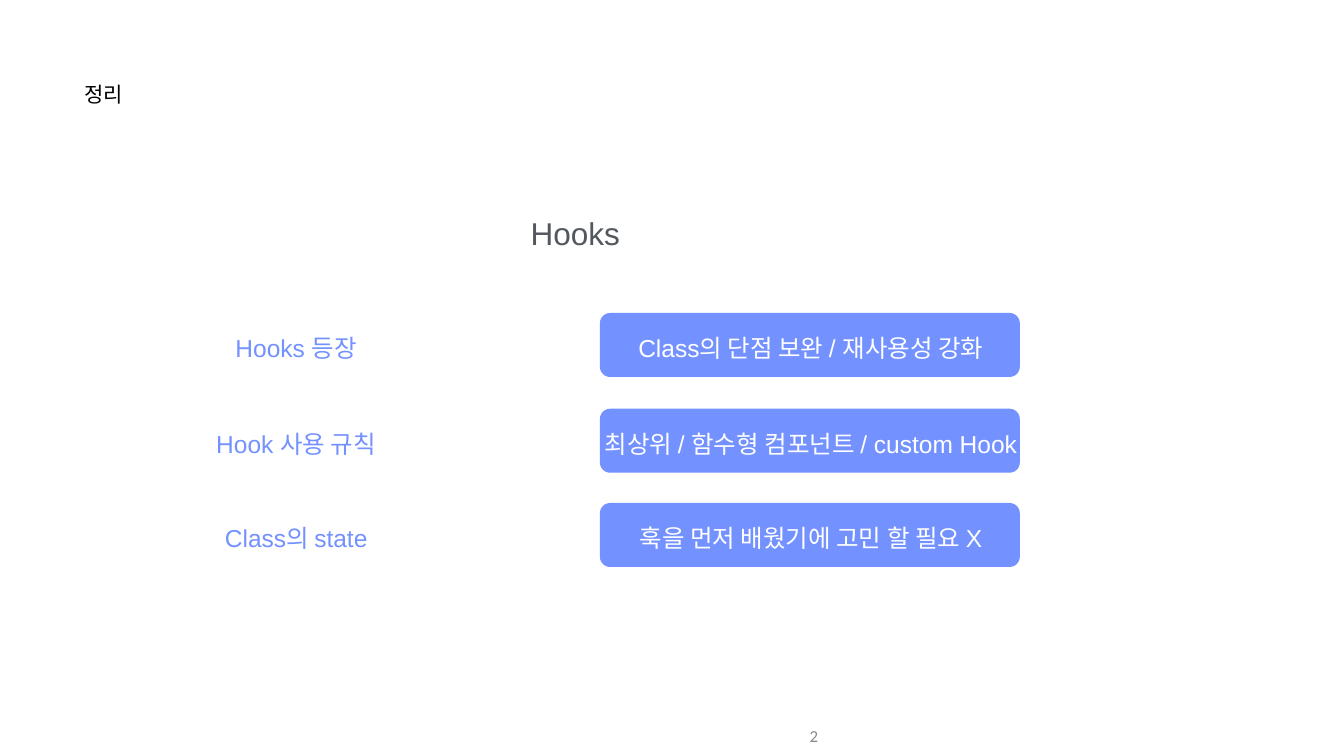
from pptx import Presentation
from pptx.dml.color import RGBColor
from pptx.enum import shapes, text
from pptx.util import Inches, Pt

# Content
TITLE = "정리"
HEADING = "Hooks"
PAGE = "2"
ROWS = [  # top of the row, label, summary
    (6.21, "Hooks 등장", "Class의 단점 보완 / 재사용성 강화"),
    (8.11, "Hook 사용 규칙", "최상위 / 함수형 컴포넌트 / custom Hook"),
    (9.98, "Class의 state", "훅을 먼저 배웠기에 고민 할 필요 X"),
]

# Style
BLUE, WHITE, BLACK, GREY, PALE = "7391FF", "FFFFFF", "000000", "53585F", "888888"
LEFT, CENTER, RIGHT = text.PP_ALIGN.LEFT, text.PP_ALIGN.CENTER, text.PP_ALIGN.RIGHT
TOP, MIDDLE = text.MSO_ANCHOR.TOP, text.MSO_ANCHOR.MIDDLE
BAR_LEFT, BAR_WIDTH, BAR_HEIGHT = 11.9, 8.33, 1.27
LABEL_LEFT, LABEL_WIDTH = 2.75, 6.25
TEXT_HEIGHT, TEXT_DROP = 0.62, 0.38


def color(value):
    return RGBColor.from_string(value)


def write(sp, content, size, fill, align=CENTER, anchor=MIDDLE,
          font="Arial", margins=(0.01, 0.01)):
    tf = sp.text_frame
    tf.text = content
    tf.word_wrap = True
    tf.auto_size = text.MSO_AUTO_SIZE.NONE
    tf.vertical_anchor = anchor
    tf.margin_left = tf.margin_right = Inches(margins[0])
    tf.margin_top = tf.margin_bottom = Inches(margins[1])
    p = tf.paragraphs[0]
    p.alignment = align
    r = p.runs[0]
    r.font.name = font
    r.font.size = Pt(size)
    r.font.color.rgb = color(fill)


def add_text(s, box, *args, **kwargs):
    write(s.shapes.add_textbox(*map(Inches, box)), *args, **kwargs)


def add_bar(s, top):
    sp = s.shapes.add_shape(
        shapes.MSO_SHAPE.ROUNDED_RECTANGLE,
        *map(Inches, (BAR_LEFT, top, BAR_WIDTH, BAR_HEIGHT)))
    sp.adjustments[0] = 0.16
    sp.shadow.inherit = False
    sp.fill.solid()
    sp.fill.fore_color.rgb = color(BLUE)
    sp.line.fill.background()


def main():
    prs = Presentation()
    prs.slide_width, prs.slide_height = Inches(26.66), Inches(15)
    s = prs.slides.add_slide(prs.slide_layouts[5])

    # Title, heading and page number
    title = s.shapes.title
    title.left, title.top = Inches(1.67), Inches(1.6)
    title.width, title.height = Inches(4.86), Inches(1.18)
    write(title, TITLE, 30, BLACK, LEFT, TOP)
    add_text(s, (2.64, 4.24, 17.54, 0.79), HEADING, 45, GREY, anchor=TOP)
    add_text(s, (10.33, 14.21, 6, 0.79), PAGE, 24, PALE, RIGHT,
             font="Calibri", margins=(0.1, 0.05))

    # Rows: a label beside a summary on a bar
    for top, label, summary in ROWS:
        add_bar(s, top)
        y = top + TEXT_DROP
        add_text(s, (LABEL_LEFT, y, LABEL_WIDTH, TEXT_HEIGHT), label, 35, BLUE)
        add_text(s, (BAR_LEFT + 0.02, y, BAR_WIDTH, TEXT_HEIGHT), summary, 35, WHITE)

    prs.save("out.pptx")


if __name__ == "__main__":
    main()
